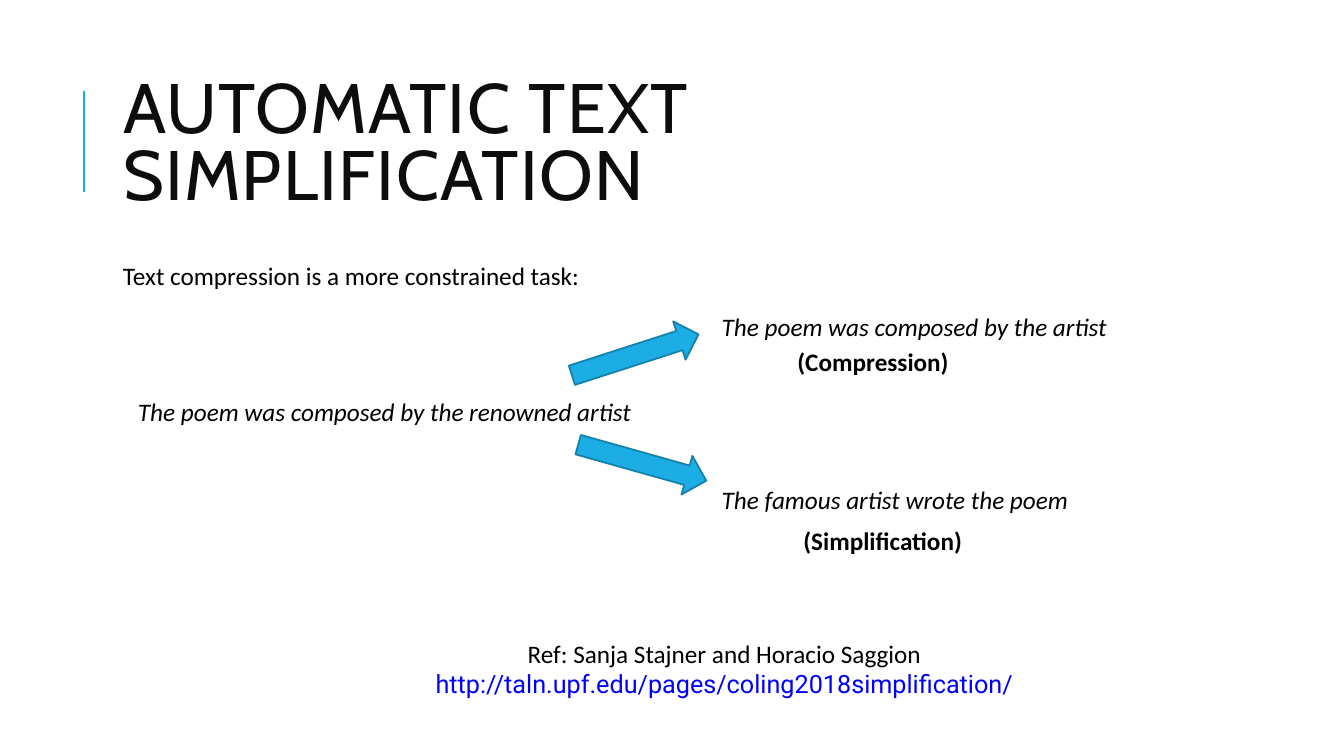
from lxml.etree import SubElement
from pptx import Presentation
from pptx.dml.color import RGBColor
from pptx.enum.shapes import MSO_CONNECTOR, MSO_SHAPE
from pptx.enum.text import MSO_ANCHOR, MSO_AUTO_SIZE, PP_ALIGN
from pptx.oxml.ns import qn
from pptx.util import Inches, Pt


def color(value):
    return RGBColor.from_string(value)


def add_run(paragraph, text, ink="000000", **formats):
    run = paragraph.add_run()
    run.text = text
    for attribute, value in ({"name": "Calibri", "size": Pt(18)} | formats).items():
        setattr(run.font, attribute, value)
    run.font.color.rgb = color(ink)
    return run


deck = Presentation()
deck.slide_width, deck.slide_height = Inches(13.33), Inches(7.5)
slide = deck.slides.add_slide(deck.slide_layouts[5])

accent = slide.shapes.add_connector(
    MSO_CONNECTOR.STRAIGHT, Inches(0.83), Inches(1.9), Inches(0.83), Inches(0.9))
accent.line.color.rgb = color("1CADE4")
accent.line.width = Pt(1.5)
SubElement(accent._element.spPr, qn("a:effectLst"))

title = slide.shapes.title
title.left, title.top, title.width, title.height = map(Inches, (1.12, 0.64, 10.63, 1.64))
for attribute, value in {"vertical_anchor": MSO_ANCHOR.MIDDLE, "word_wrap": True,
                         "auto_size": MSO_AUTO_SIZE.NONE}.items():
    setattr(title.text_frame, attribute, value)
heading = title.text_frame.paragraphs[0]
heading.alignment = PP_ALIGN.LEFT
heading.line_spacing = 0.8
heading_run = add_run(heading, "AUTOMATIC TEXT SIMPLIFICATION", "0D0D0D",
                      name="Cabin", size=Pt(50))
heading_run.font._element.set("spc", "100")

plain, example, label = {}, {"italic": True}, {"bold": True}
statements = [
    ("Text compression is a more constrained task:", 1.12, 2.53, 5.31, 0.4, plain),
    ("The poem was composed by the renowned artist", 1.27, 3.88, 5.16, 0.4, example),
    ("The poem was composed by the artist", 7.06, 3.04, 5.16, 0.4, example),
    ("The famous artist wrote the poem", 7.06, 4.76, 5.16, 0.4, example),
    ("(Compression)", 7.81, 3.39, 1.82, 0.4, label),
    ("(Simplification)", 7.87, 5.16, 1.82, 0.4, label),
    ("Ref: Sanja Stajner and Horacio Saggion ", 3.85, 6.28, 6.67, 0.71, plain),
]
for text, left, top, width, height, formats in statements:
    statement = slide.shapes.add_textbox(*map(Inches, (left, top, width, height)))
    statement.text_frame.word_wrap = True
    statement.text_frame.auto_size = MSO_AUTO_SIZE.SHAPE_TO_FIT_TEXT
    add_run(statement.text_frame.paragraphs[0], text, **formats)

reference = statement.text_frame.paragraphs[0]
reference.alignment = PP_ALIGN.CENTER
add_run(reference, "http://taln.upf.edu/pages/coling2018simplification/", "0000FF",
        name="Roboto")

for left, top, angle in [(5.64, 3.32, 342.1), (5.71, 4.39, 15.7)]:
    arrow = slide.shapes.add_shape(
        MSO_SHAPE.RIGHT_ARROW, Inches(left), Inches(top), Inches(1.32), Inches(0.4))
    arrow.rotation = angle
    arrow.shadow.inherit = False
    arrow.fill.solid()
    arrow.fill.fore_color.rgb = color("1CADE4")
    arrow.line.color.rgb = color("1580A9")
    arrow.line.width = Pt(1.25)

deck.save("out.pptx")
